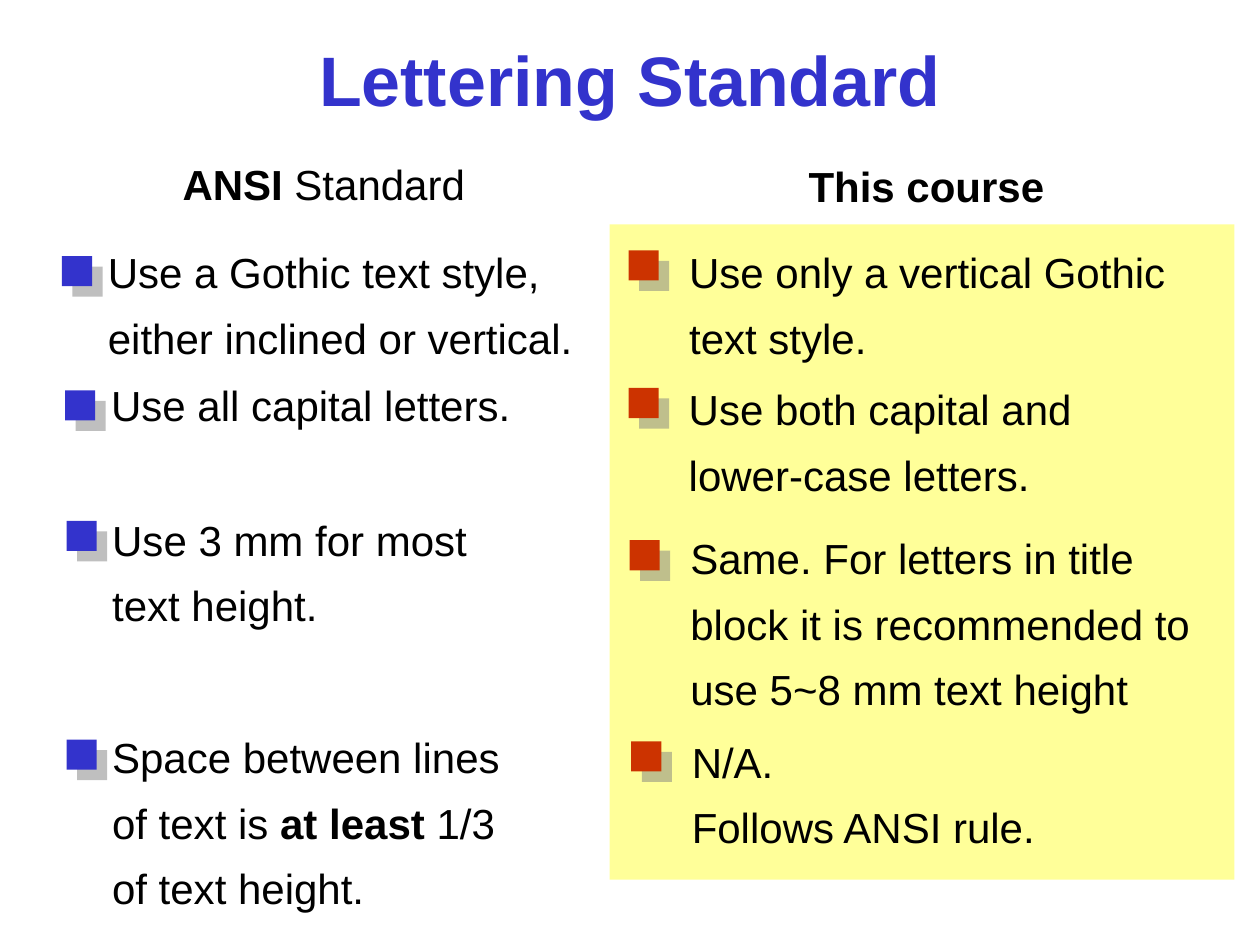
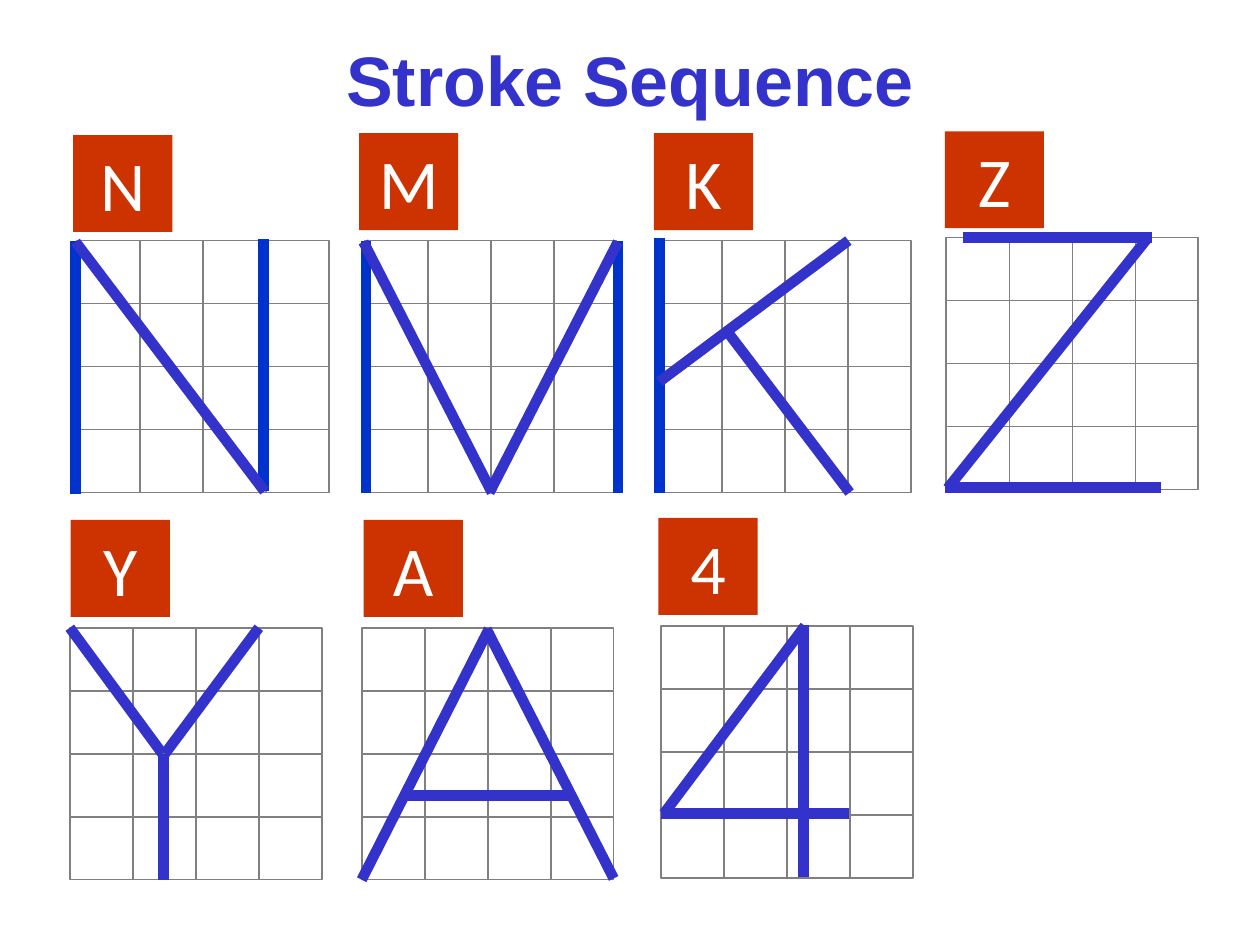
from lxml.etree import SubElement
from pptx import Presentation
from pptx.dml.color import RGBColor
from pptx.enum.shapes import MSO_CONNECTOR, MSO_SHAPE
from pptx.enum.text import MSO_ANCHOR, PP_ALIGN
from pptx.oxml.ns import qn
from pptx.util import Pt

BLUE = RGBColor(0x33, 0x33, 0xCC)
DEEP_BLUE = RGBColor(0x00, 0x33, 0xCC)
RED = RGBColor(0xCC, 0x33, 0x00)
YELLOW = RGBColor(0xFF, 0xFF, 0x99)
GREY = RGBColor(0x80, 0x80, 0x80)
BLACK = RGBColor(0x00, 0x00, 0x00)
WHITE = RGBColor(0xFF, 0xFF, 0xFF)

CELL = 36
GRID = 4 * CELL
TILE_WIDTH, TILE_HEIGHT = 56.7, 55.4
BULLET = 17.2


def write(frame, lines, size, color, font="Arial", align=None, spacing=None):
    """Write each line as a paragraph of (text, bold) spans."""
    for number, spans in enumerate(lines):
        para = frame.paragraphs[0] if number == 0 else frame.add_paragraph()
        para.alignment = align
        para.line_spacing = spacing
        for text, bold in spans:
            for part_number, part in enumerate(text.split("\n")):
                if part_number:
                    para.add_line_break()
                span = para.add_run()
                span.text = part
                span.font.name = font
                span.font.size = Pt(size)
                span.font.bold = bold
                span.font.color.rgb = color


def draw_line(page, start, end, color, width):
    line = page.shapes.add_connector(
        MSO_CONNECTOR.STRAIGHT, *(Pt(value) for value in start + end))
    line.line.color.rgb = color
    line.line.width = Pt(width)
    SubElement(line._element.spPr, qn("a:effectLst"))


deck = Presentation()
deck.slide_width, deck.slide_height = Pt(720), Pt(540)

# Pages with their shared title style
pages = []
for title in ("Lettering Standard", "Stroke Sequence"):
    page = deck.slides.add_slide(deck.slide_layouts[6])
    box = page.shapes.add_textbox(Pt(54), Pt(0), Pt(612), Pt(90))
    box.text_frame.word_wrap = True
    box.text_frame.vertical_anchor = MSO_ANCHOR.MIDDLE
    write(box.text_frame, [[(title, True)]], 40, BLUE, align=PP_ALIGN.CENTER)
    pages.append(page)
standard_page, stroke_page = pages

# Yellow panel behind the course rules
panel = standard_page.shapes.add_shape(
    MSO_SHAPE.RECTANGLE, Pt(348.4), Pt(128.2), Pt(357), Pt(374.5))
panel.shadow.inherit = False
panel.fill.solid()
panel.fill.fore_color.rgb = YELLOW
panel.line.fill.background()

# Column headings
headings = [
    (97.2, 87, 176, [("ANSI", True), (" Standard", False)]),
    (455, 88, 149, [("This course", True)]),
]
for left, top, width, spans in headings:
    box = standard_page.shapes.add_textbox(Pt(left), Pt(top), Pt(width), Pt(36))
    box.text_frame.word_wrap = False
    write(box.text_frame, [spans], 24, BLACK)

# Rules: text left, top, width, height, line spacing, bullet left, top, colour, lines
rules = [
    (54.6, 128.8, 280, 82, 1.3, 35.4, 146.3, BLUE,
     [[("Use a Gothic text style,", False)], [("either inclined or vertical.", False)]]),
    (56.4, 213.5, 243, 36, None, 37.2, 223, BLUE,
     [[("Use all capital letters.", False)]]),
    (57, 281.8, 217, 82, 1.3, 38, 297.6, BLUE,
     [[("Use 3 mm for most", False)], [("text height.", False)]]),
    (57, 406, 236, 120, 1.3, 38, 422.6, BLUE,
     [[("Space between lines", False)],
      [("of text is ", False), ("at least", True), (" 1/3", False)],
      [("of text height.", False)]]),
    (386.7, 128.8, 287, 82, 1.3, 359.2, 143, RED,
     [[("Use only a vertical Gothic", False)], [("text style.", False)]]),
    (386.5, 207.2, 233, 82, 1.3, 359.2, 221.7, RED,
     [[("Use both capital and", False)], [("lower-case letters.", False)]]),
    (387.4, 292.2, 326, 120, 1.3, 359.8, 308.7, RED,
     [[("Same. For letters in title block it is recommended to "
        "use 5~8 mm text height", False)]]),
    (388.2, 408.5, 212, 82, 1.3, 360.7, 423.6, RED,
     [[("N/A.\nFollows ANSI rule.", False)]]),
]
for left, top, width, height, spacing, bullet_left, bullet_top, color, lines in rules:
    box = standard_page.shapes.add_textbox(Pt(left), Pt(top), Pt(width), Pt(height))
    box.text_frame.word_wrap = width > 300
    write(box.text_frame, lines, 24, BLACK, spacing=spacing)

    bullet = standard_page.shapes.add_shape(
        MSO_SHAPE.RECTANGLE, Pt(bullet_left), Pt(bullet_top), Pt(BULLET), Pt(BULLET))
    bullet.fill.solid()
    bullet.fill.fore_color.rgb = color
    bullet.line.fill.background()
    effects = SubElement(bullet._element.spPr, qn("a:effectLst"))
    shadow = SubElement(effects, qn("a:outerShdw"), dist=str(Pt(8.5)),
                        dir="2700000", algn="ctr", rotWithShape="0")
    shade = SubElement(shadow, qn("a:srgbClr"), val=str(GREY))
    SubElement(shade, qn("a:alpha"), val="50000")

# Letters: tile corner, grid corner, strokes in grid cells (x1, y1, x2, y2, colour)
letters = [
    ("N", (41.8, 77.2), (43.9, 137.5),
     [(-0.02, 0, -0.02, 4.02, DEEP_BLUE), (2.96, -0.02, 2.96, 3.98, DEEP_BLUE),
      (-0.02, 0.02, 2.98, 3.98, BLUE)]),
    ("M", (205.2, 76.1), (208.4, 137.5),
     [(0.02, 0, 0.02, 4, DEEP_BLUE), (4.02, 0, 4.02, 4, DEEP_BLUE),
      (-0.02, 0.02, 2.02, 4, BLUE), (4.02, 0.02, 1.98, 4, BLUE)]),
    ("K", (373.7, 76.1), (376.8, 137.5),
     [(0, -0.04, 0, 4, DEEP_BLUE), (0, 2.24, 3, 0, BLUE),
      (3.02, 4, 1.06, 1.42, BLUE)]),
    ("Z", (539.9, 75.1), (540.8, 135.8),
     [(0.26, 0, 3.26, 0, BLUE), (3.2, 0, 0.02, 3.98, BLUE),
      (-0.02, 3.97, 3.4, 3.97, BLUE)]),
    ("Y", (40.4, 297.1), (39.9, 358.7),
     [(1.49, 2, 1.49, 4, BLUE), (1.47, 2, 0, 0, BLUE), (1.51, 2, 3, 0, BLUE)]),
    ("A", (207.8, 297.1), (206.7, 358.7),
     [(2.02, 0.02, 0, 4, BLUE), (1.98, 0.02, 4, 3.98, BLUE),
      (0.68, 2.66, 3.3, 2.66, BLUE)]),
    ("4", (376.3, 296), (377.9, 357.7),
     [(2.26, -0.02, 2.26, 3.98, BLUE), (2.28, 0, 0.04, 2.98, BLUE),
      (0, 2.98, 2.98, 2.98, BLUE)]),
]
for letter, (tile_left, tile_top), (left, top), strokes in letters:
    # Letter tile
    tile = stroke_page.shapes.add_shape(
        MSO_SHAPE.RECTANGLE, Pt(tile_left), Pt(tile_top), Pt(TILE_WIDTH), Pt(TILE_HEIGHT))
    tile.shadow.inherit = False
    tile.fill.solid()
    tile.fill.fore_color.rgb = RED
    tile.line.fill.background()
    tile.text_frame.word_wrap = True
    tile.text_frame.vertical_anchor = MSO_ANCHOR.TOP
    write(tile.text_frame, [[(letter, False)]], 40, WHITE, "Calibri", PP_ALIGN.CENTER)

    # Four by four grid
    frame = stroke_page.shapes.add_shape(
        MSO_SHAPE.RECTANGLE, Pt(left), Pt(top), Pt(GRID), Pt(GRID))
    frame.shadow.inherit = False
    frame.fill.background()
    frame.line.color.rgb = GREY
    frame.line.width = Pt(1)
    for step in range(CELL, GRID, CELL):
        draw_line(stroke_page, (left + step, top), (left + step, top + GRID), GREY, 1)
        draw_line(stroke_page, (left, top + step), (left + GRID, top + step), GREY, 1)

    # Strokes of the letter
    for x1, y1, x2, y2, color in strokes:
        draw_line(stroke_page, (left + x1 * CELL, top + y1 * CELL),
                  (left + x2 * CELL, top + y2 * CELL), color, 6)

deck.save("out.pptx")
